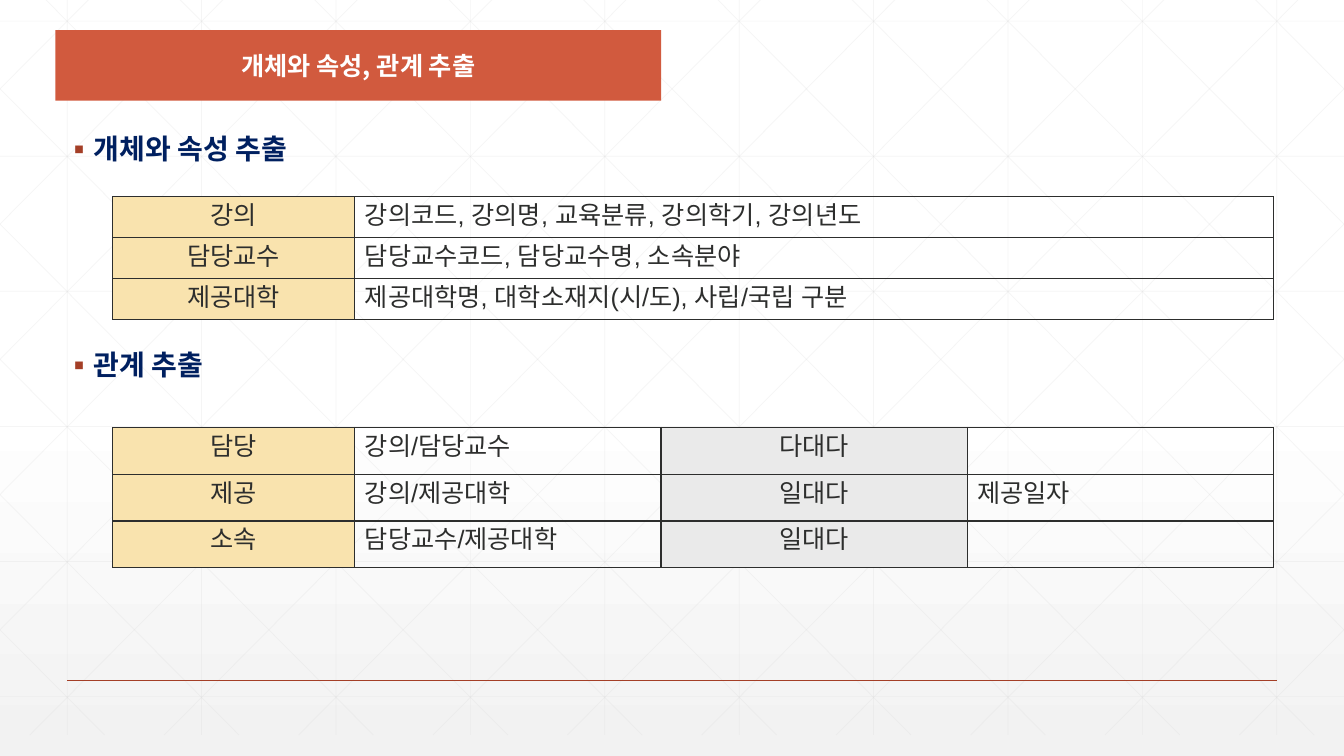
import pptx
import pptx.util
import pptx.dml.color
import pptx.enum.shapes
import pptx.enum.text
import pptx.oxml
import pptx.oxml.ns
from lxml import etree

Pt = pptx.util.Pt
ALIGN = pptx.enum.text.PP_ALIGN
WIDE, HIGH = 960, 540
INK, RUST, GOLD, GREY = "2D2E2D", "A43F27", "F9E3AE", "EAEAEA"
NOTO = "Noto Sans CJK KR"
HEAD = {"name": NOTO, "size": Pt(18), "bold": True}
ITEM = {"name": NOTO, "size": Pt(20), "bold": True}
CELL = {"name": "Arial", "size": Pt(18)}

THINGS = [
    ["강의", "강의코드, 강의명, 교육분류, 강의학기, 강의년도"],
    ["담당교수", "담당교수코드, 담당교수명, 소속분야"],
    ["제공대학", "제공대학명, 대학소재지(시/도), 사립/국립 구분"],
]
LINKS = [
    ["담당", "강의/담당교수", "다대다", ""],
    ["제공", "강의/제공대학", "일대다", "제공일자"],
    ["소속", "담당교수/제공대학", "일대다", ""],
]


def color(code):
    """Turn a hex string into a colour."""
    return pptx.dml.color.RGBColor.from_string(code)


def sub(node, tag, **attrs):
    """Append a drawing element to a node."""
    return etree.SubElement(node, pptx.oxml.ns.qn("a:" + tag), attrs)


def apply(item, form):
    """Set each attribute named in a dict of format values."""
    for key, value in form.items():
        setattr(item, key, value)


def write(para, words, form, code):
    """Add a formatted run to a paragraph."""
    run = para.add_run()
    run.text = words
    apply(run.font, form)
    run.font.color.rgb = color(code)
    sub(run._r.get_or_add_rPr(), "ea", typeface=form["name"])


def place(shape, left, top, width, height):
    """Put a shape at a place given in points."""
    apply(shape, {"left": Pt(left), "top": Pt(top),
                  "width": Pt(width), "height": Pt(height)})


def rule(shapes, ends, code, width, alpha=None):
    """Draw a straight line between two points."""
    line = shapes.add_connector(pptx.enum.shapes.MSO_CONNECTOR.STRAIGHT,
                                *[Pt(round(end, 2)) for end in ends])
    line.line.width = Pt(width)
    line.line.color.rgb = color(code)
    sub(line._element.spPr, "effectLst")
    if alpha:
        tint = line._element.spPr.find(".//" + pptx.oxml.ns.qn("a:srgbClr"))
        sub(tint, "alpha", val=str(alpha * 1000))


def mesh(slide):
    """Draw the faint grid of upright, level and slanted lines."""
    group = slide.shapes.add_group_shape()
    top, base, step = -15, 525, 96
    run = 536.7
    slope = (base - top) / run
    ends = [(x, top, x, base) for x in range(48, WIDE, step)]
    ends += [(0, 15.1 + 96.5 * k, WIDE, 15.1 + 96.5 * k) for k in range(6)]
    for k in range(-5, 10):
        start = 18 + step * k
        left, right = max(start, 0), min(start + run, WIDE)
        high, low = [top + (x - start) * slope for x in (left, right)]
        ends += [(left, high, right, low),
                 (WIDE - left, high, WIDE - right, low)]
    for end in ends:
        rule(group.shapes, end, "D9D9D9", 0.5, 25)
    slide.shapes.title._element.addprevious(group._element)


def banner(slide):
    """Draw the title on its coloured bar."""
    bar = slide.shapes.add_shape(pptx.enum.shapes.MSO_SHAPE.RECTANGLE,
                                 Pt(39.6), Pt(21.6), Pt(432.7), Pt(50.4))
    bar.shadow.inherit = False
    bar.fill.solid()
    bar.fill.fore_color.rgb = color("D15A3E")
    bar.line.fill.background()
    title = slide.shapes.title
    title._element.addprevious(bar._element)
    place(title, 39.6, 32.4, 432.7, 28.8)
    apply(title.text_frame, {
        "word_wrap": True, "auto_size": pptx.enum.text.MSO_AUTO_SIZE.NONE,
        "vertical_anchor": pptx.enum.text.MSO_ANCHOR.MIDDLE})
    para = title.text_frame.paragraphs[0]
    para.alignment = ALIGN.CENTER
    write(para, "개체와 속성, 관계 추출", HEAD, "FFFFFF")


def list_heads(slide):
    """Fill the body with the two section heads."""
    body = slide.placeholders[1]
    place(body, 39.6, 92.9, 870.5, 300.2)
    frame = body.text_frame
    frame.auto_size = pptx.enum.text.MSO_AUTO_SIZE.NONE
    heads = [("개체와 속성 추출", 0), ("관계 추출", 132.5)]
    for i, (words, gap) in enumerate(heads):
        para = frame.add_paragraph() if i else frame.paragraphs[0]
        apply(para, {"line_spacing": 0.9, "space_before": Pt(gap)})
        props = para._p.get_or_add_pPr()
        props.set("marL", str(Pt(18)))
        props.set("indent", str(Pt(-18)))
        sub(sub(props, "buClr"), "srgbClr", val=RUST)
        sub(props, "buFont", typeface=NOTO)
        sub(props, "buChar", char="▪")
        write(para, words, ITEM, "002060")


def border(cell):
    """Line all four sides of a table cell."""
    props = cell._tc.get_or_add_tcPr()
    for side in "LRTB":
        edge = sub(props, "ln" + side, w=str(Pt(1)))
        sub(sub(edge, "solidFill"), "srgbClr", val=INK)


def grid(slide, top, tall, widths, fills, rows):
    """Add a table whose columns may be filled and centred."""
    table = slide.shapes.add_table(
        len(rows), len(widths), Pt(80.6), Pt(top),
        Pt(sum(widths)), Pt(tall * len(rows))).table
    apply(table, {"first_row": False, "horz_banding": False})
    for col, width in zip(table.columns, widths):
        col.width = Pt(width)
    for i, row in enumerate(rows):
        table.rows[i].height = Pt(tall)
        for j, words in enumerate(row):
            cell = table.cell(i, j)
            border(cell)
            para = cell.text_frame.paragraphs[0]
            if fills[j]:
                cell.fill.solid()
                cell.fill.fore_color.rgb = color(fills[j])
                para.alignment = ALIGN.CENTER
            else:
                cell.fill.background()
            if words:
                write(para, words, CELL, INK)


def shade(slide):
    """Fade the background from white to pale grey."""
    fill = slide.background.fill
    fill.gradient()
    fill.gradient_angle = 270
    stops = zip(fill.gradient_stops, [(0.53, "FFFFFF"), (1, "F2F2F2")])
    for stop, (spot, code) in stops:
        stop.position = spot
        stop.color.rgb = color(code)


def main():
    """Build the slide and save it."""
    deck = pptx.Presentation()
    apply(deck, {"slide_width": Pt(WIDE), "slide_height": Pt(HIGH)})
    slide = deck.slides.add_slide(deck.slide_layouts[1])
    shade(slide)
    mesh(slide)
    rule(slide.shapes, (48, 486, 912, 486), RUST, 1)
    banner(slide)
    list_heads(slide)
    grid(slide, 140.6, 29.3, [172.8, 656.4], [GOLD, None], THINGS)
    grid(slide, 305.3, 33.4, [172.8] + [218.8] * 3,
         [GOLD, None, GREY, None], LINKS)
    deck.save("out.pptx")


if __name__ == "__main__":
    main()
